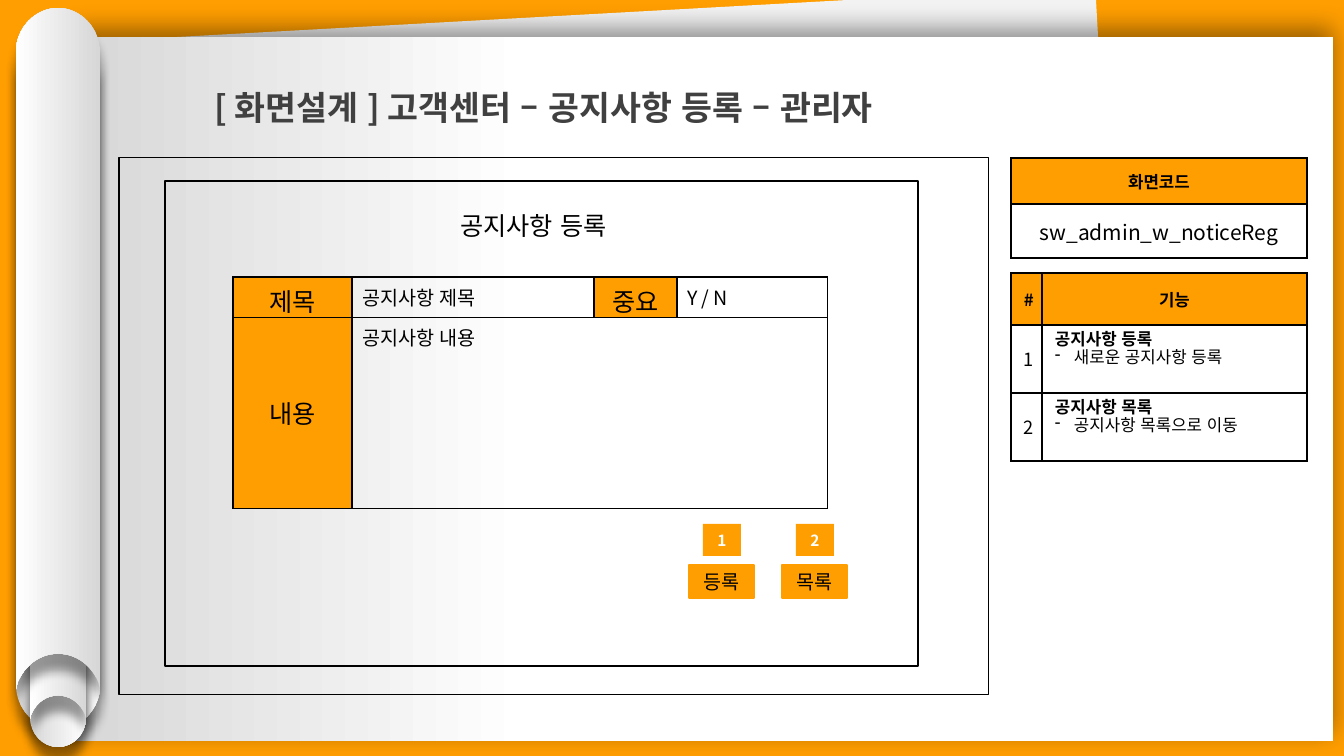
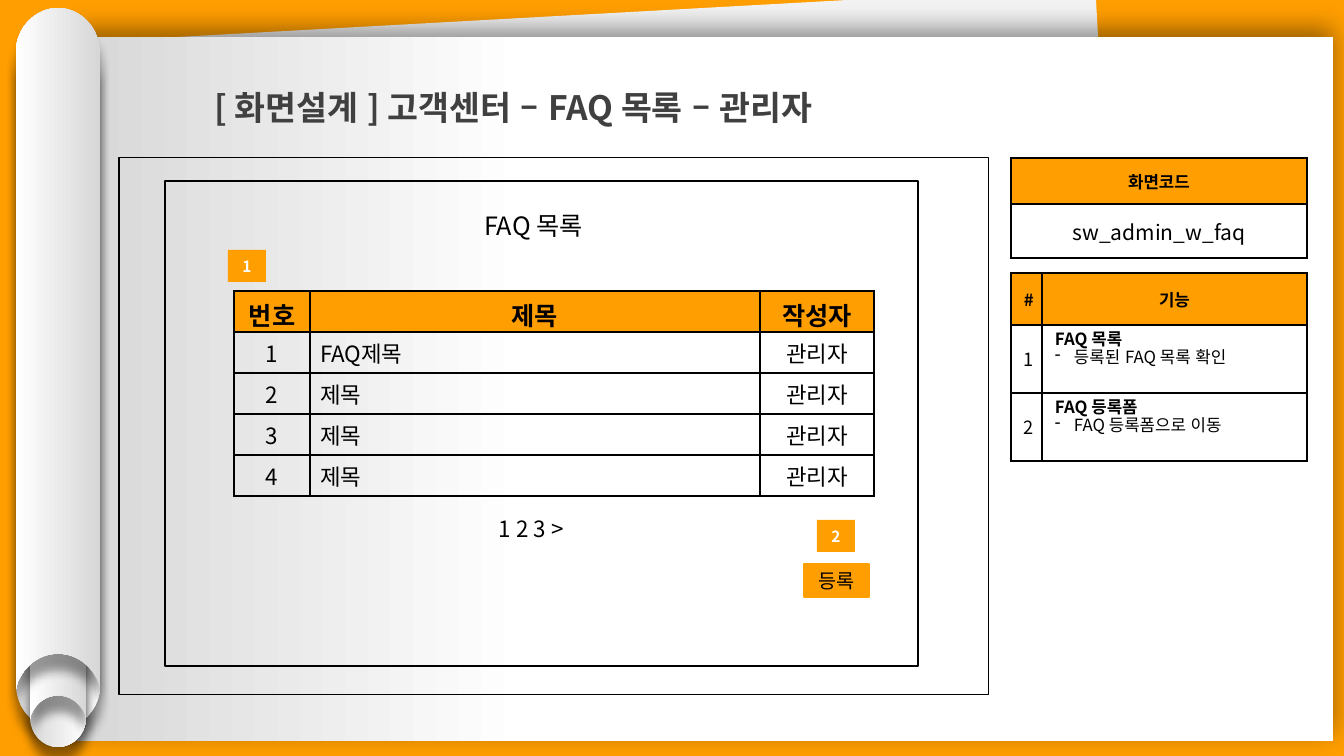
from dataclasses import dataclass

from lxml.etree import SubElement
from pptx import Presentation
from pptx.dml.color import RGBColor
from pptx.enum.lang import MSO_LANGUAGE_ID
from pptx.enum.shapes import MSO_SHAPE
from pptx.enum.text import MSO_ANCHOR, MSO_AUTO_SIZE, PP_ALIGN
from pptx.oxml import parse_xml
from pptx.oxml.ns import nsdecls, qn
from pptx.util import Emu, Pt


@dataclass(frozen=True)
class Theme:
    font: str = "Noto Sans CJK KR"
    accent: str = "FF9E00"
    ink: str = "000000"
    title_ink: str = "404040"
    white: str = "FFFFFF"
    shade: str = "D7D7D7"
    back_sheet: str = "F2F2F2"
    title: int = 24
    heading: int = 18
    row: int = 16
    code: int = 15
    field: int = 14
    number: int = 13
    note: int = 12
    marker: int = 11


@dataclass(frozen=True)
class Cell:
    text: str
    size: int
    bold: bool = False
    align: PP_ALIGN = PP_ALIGN.CENTER
    anchor: MSO_ANCHOR = MSO_ANCHOR.MIDDLE
    fill: str = ""
    bullet: str = ""
    leading: int = 0


THEME = Theme()
EMU_PER_PX = 914400 / 100.8
SLIDE_WIDTH, SLIDE_HEIGHT = 1344, 756
SIDE_LEFT = 1011
SIDE_MARGINS = (13, 7)
LEFT = PP_ALIGN.LEFT


def px(length):
    return Emu(round(length * EMU_PER_PX))


def rect_px(*lengths):
    return [px(length) for length in lengths]


# Text
def write(para, text, *, size, bold=False, color=THEME.ink, align=LEFT, leading=None):
    para.alignment = align
    if leading:
        para.line_spacing = leading
    span = para.add_run()
    span.text = text
    span.font.size = Pt(size)
    span.font.bold = bold
    span.font.name = THEME.font
    span.font.language_id = MSO_LANGUAGE_ID.KOREAN
    span.font.color.rgb = RGBColor.from_string(color)
    latin = span.font._element.find(qn("a:latin"))
    latin.addnext(parse_xml(f'<a:ea {nsdecls("a")} typeface="{THEME.font}"/>'))


def add_dash(para, indent):
    properties = para._p.get_or_add_pPr()
    properties.set("marL", str(px(indent)))
    properties.set("indent", str(-px(indent)))
    SubElement(properties, qn("a:buChar")).set("char", "-")


def add_label(page, area, text, anchor=MSO_ANCHOR.TOP, **text_format):
    box = page.shapes.add_textbox(*rect_px(*area))
    box.text_frame.word_wrap = True
    box.text_frame.vertical_anchor = anchor
    write(box.text_frame.paragraphs[0], text, **text_format)


def add_title(page, text):
    title = page.shapes.title
    title.left, title.top, title.width, title.height = rect_px(204, 62, 969, 67)
    frame = title.text_frame
    frame.auto_size = MSO_AUTO_SIZE.NONE
    frame.vertical_anchor = MSO_ANCHOR.TOP
    write(frame.paragraphs[0], text, size=THEME.title, bold=True,
          color=THEME.title_ink, leading=1.5)


# Shapes
def add_rectangle(page, area, fill=None, line=None, line_width=1):
    box = page.shapes.add_shape(MSO_SHAPE.RECTANGLE, *rect_px(*area))
    box.shadow.inherit = False
    if fill:
        box.fill.solid()
        box.fill.fore_color.rgb = RGBColor.from_string(fill)
    else:
        box.fill.background()
    if line:
        box.line.color.rgb = RGBColor.from_string(line)
        box.line.width = Pt(line_width)
    else:
        box.line.fill.background()
    return box


def add_tag(page, area, text, line=None, **text_format):
    box = add_rectangle(page, area, THEME.accent, line)
    box.text_frame.vertical_anchor = MSO_ANCHOR.MIDDLE
    write(box.text_frame.paragraphs[0], text, align=PP_ALIGN.CENTER, **text_format)


def add_marker(page, left, top, text):
    add_tag(page, (left, top, 38, 32), text, size=THEME.marker, bold=True,
            color=THEME.white)


def add_button(page, left, top, text):
    add_tag(page, (left, top, 65, 33), text, line=THEME.accent, size=THEME.field)


def shade(shape, stops):
    shape.fill.gradient()
    shape.fill.gradient_angle = 180
    for stop, (position, color) in zip(shape.fill.gradient_stops, stops):
        stop.position = position
        stop.color.rgb = RGBColor.from_string(color)


def cast_shadow(shape, blur, distance, angle):
    shape.shadow.inherit = False
    effects = shape._element.spPr.find(qn("a:effectLst"))
    effects.append(parse_xml(
        f'<a:outerShdw {nsdecls("a")} blurRad="{Pt(blur)}" dist="{Pt(distance)}" '
        f'dir="{angle * 60000}" algn="ctr" rotWithShape="0">'
        f'<a:srgbClr val="{THEME.ink}"><a:alpha val="40000"/></a:srgbClr></a:outerShdw>'))


def bend_corners(shape, curve_starts):
    """Turn three line segments from each start into one cubic curve."""
    outline = next(shape._element.iter(qn("a:path")))
    lines = outline.findall(qn("a:lnTo"))
    for start in curve_starts:
        curve = parse_xml(f'<a:cubicBezTo {nsdecls("a")}/>')
        lines[start].addprevious(curve)
        for line in lines[start:start + 3]:
            curve.append(line[0])
            outline.remove(line)


# Paper roll: round top, and a bottom cut by a circle of the same width
def add_roll(group, left, top, width, height, turned):
    base = height / width
    outline = [(0.5, 0), (0.77, 0), (1, 0.24), (1, 0.52),
               (1, base), (0.98, base - 0.08),
               (0.89, base - 0.29), (0.71, base - 0.42), (0.5, base - 0.42),
               (0.29, base - 0.42), (0.11, base - 0.29), (0.02, base - 0.08),
               (0, base), (0, 0.52),
               (0, 0.24), (0.23, 0), (0.5, 0)]
    points = [(px(left + x * width), px(top + y * width)) for x, y in outline]
    builder = group.shapes.build_freeform(*points[0])
    builder.add_line_segments(points[1:], close=True)
    roll = builder.convert_to_shape()
    bend_corners(roll, (0, 5, 8, 13))
    roll.rotation = 180 if turned else 0
    roll.line.fill.background()
    shade(roll, [(0, THEME.shade), (1, THEME.white)])
    cast_shadow(roll, 7, 11, 90)


def add_scroll(page):
    back_sheet = add_rectangle(page, (92, 14, 1023, 685), THEME.back_sheet)
    back_sheet.rotation = 356.84
    paper = add_rectangle(page, (73, 37, 1260, 704), THEME.white)
    shade(paper, [(0.64, THEME.white), (1, THEME.shade)])
    cast_shadow(paper, 18, 6, 270)
    group = page.shapes.add_group_shape()
    for area, turned in (((16, 48, 84, 681), True), ((30, 291, 56, 456), True),
                         ((30, 263, 56, 456), False), ((16, 8, 84, 681), False)):
        add_roll(group, *area, turned)


# Tables
def set_borders(cell):
    properties = cell._tc.get_or_add_tcPr()
    for index, side in enumerate(("lnL", "lnR", "lnT", "lnB")):
        properties.insert(index, parse_xml(
            f'<a:{side} {nsdecls("a")} w="{Pt(1)}"><a:solidFill>'
            f'<a:srgbClr val="{THEME.ink}"/></a:solidFill></a:{side}>'))


def fill_cell(target, cell):
    target.vertical_anchor = cell.anchor
    if cell.fill:
        target.fill.solid()
        target.fill.fore_color.rgb = RGBColor.from_string(cell.fill)
    frame = target.text_frame
    text_format = dict(size=cell.size, align=cell.align,
                       leading=Pt(cell.leading) if cell.leading else None)
    write(frame.paragraphs[0], cell.text, bold=cell.bold, **text_format)
    if cell.bullet:
        para = frame.add_paragraph()
        write(para, cell.bullet, **text_format)
        add_dash(para, 19)


def add_grid(page, left, top, columns, rows, cells, margins=None):
    area = rect_px(left, top, sum(columns), sum(rows))
    table = page.shapes.add_table(len(rows), len(columns), *area).table
    table.first_row = table.horz_banding = False
    for column, width in zip(table.columns, columns):
        column.width = px(width)
    for row, height in zip(table.rows, rows):
        row.height = px(height)
    for target in table.iter_cells():
        target.fill.background()
        set_borders(target)
        if margins:
            target.margin_left = target.margin_right = px(margins[0])
            target.margin_top = target.margin_bottom = px(margins[1])
    for row_index, row_cells in enumerate(cells):
        for column_index, cell in enumerate(row_cells):
            fill_cell(table.cell(row_index, column_index), cell)
    return table


def head(text, size, bold=True):
    return Cell(text, size, bold, fill=THEME.accent)


def add_side_tables(page, code, features):
    add_grid(page, SIDE_LEFT, 158, [296], [46, 54],
             [[head("화면코드", THEME.note)], [Cell(code, THEME.code)]], SIDE_MARGINS)
    cells = [[head("#", THEME.note), head("기능", THEME.note)]]
    for number, (name, action) in enumerate(features, 1):
        cells.append([Cell(str(number), THEME.number),
                      Cell(name, THEME.note, True, LEFT, MSO_ANCHOR.TOP,
                           bullet=action, leading=13)])
    add_grid(page, SIDE_LEFT, 273, [31, 265], [52, 68, 68], cells, SIDE_MARGINS)


# Slides
def add_screen_page(deck, title, screen, code, features):
    page = deck.slides.add_slide(deck.slide_layouts.get_by_name("Title Only"))
    add_scroll(page)
    # The title lies above the paper
    page.shapes._spTree.append(page.shapes.title._element)
    add_title(page, f"[ 화면설계 ] 고객센터 – {title} – 관리자")
    add_rectangle(page, (119, 158, 870, 537), line=THEME.ink, line_width=0.75)
    add_label(page, (193, 202, 681, 47), screen, MSO_ANCHOR.MIDDLE,
              size=THEME.heading, align=PP_ALIGN.CENTER)
    add_rectangle(page, (165, 181, 753, 485), line=THEME.ink)
    add_side_tables(page, code, features)
    return page


def add_notice_page(deck):
    page = add_screen_page(deck, "공지사항 등록", "공지사항 등록", "sw_admin_w_noticeReg",
                           [("공지사항 등록", "새로운 공지사항 등록"),
                            ("공지사항 목록", "공지사항 목록으로 이동")])
    form = add_grid(page, 233, 277, [119, 242, 83, 151], [40, 191], [
        [head("제목", THEME.heading, False), Cell("공지사항 제목", THEME.field, align=LEFT),
         head("중요", THEME.heading, False), Cell("Y / N", THEME.field, align=LEFT)],
        [head("내용", THEME.heading, False),
         Cell("공지사항 내용", THEME.field, align=LEFT, anchor=MSO_ANCHOR.TOP)]])
    form.cell(1, 1).merge(form.cell(1, 3))
    for index, text in enumerate(("등록", "목록")):
        add_marker(page, 703 + 93 * index, 524, str(index + 1))
        add_button(page, 689 + 93 * index, 565, text)


def add_faq_page(deck):
    page = add_screen_page(deck, "FAQ 목록", "FAQ 목록", "sw_admin_w_faq",
                           [("FAQ 목록", "등록된 FAQ 목록 확인"),
                            ("FAQ 등록폼", "FAQ 등록폼으로 이동")])
    cells = [[head(text, THEME.heading) for text in ("번호", "제목", "작성자")]]
    for number, text in enumerate(("FAQ제목", "제목", "제목", "제목"), 1):
        cells.append([Cell(str(number), THEME.row), Cell(text, THEME.row, align=LEFT),
                      Cell("관리자", THEME.row)])
    add_grid(page, 234, 291, [76, 450, 114], [41] * 5, cells)
    add_marker(page, 228, 250, "1")
    add_marker(page, 817, 520, "2")
    add_button(page, 804, 564, "등록")
    add_label(page, (489, 510, 281, 37), "1 2 3 >", size=THEME.row)


def main():
    deck = Presentation()
    deck.slide_width, deck.slide_height = rect_px(SLIDE_WIDTH, SLIDE_HEIGHT)
    backdrop = deck.slide_master.background.fill
    backdrop.solid()
    backdrop.fore_color.rgb = RGBColor.from_string(THEME.accent)
    add_notice_page(deck)
    add_faq_page(deck)
    deck.save("out.pptx")


if __name__ == "__main__":
    main()
